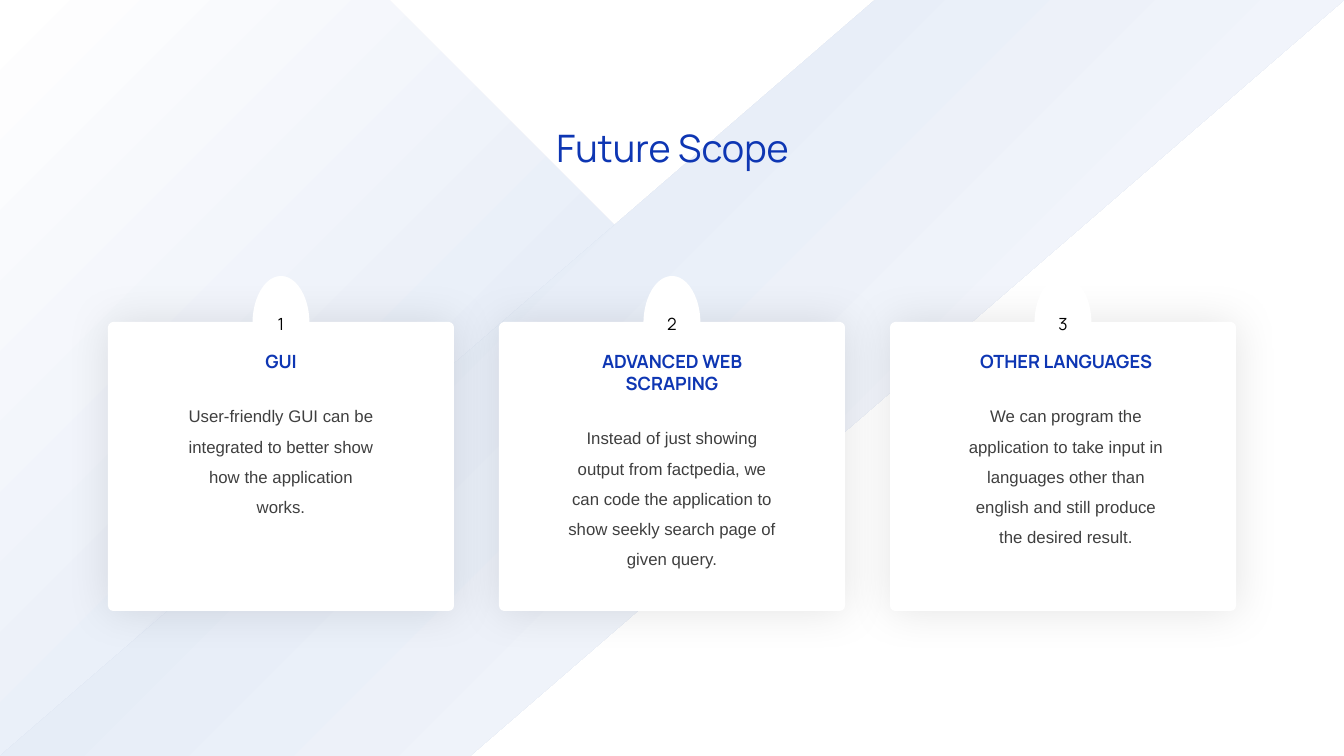
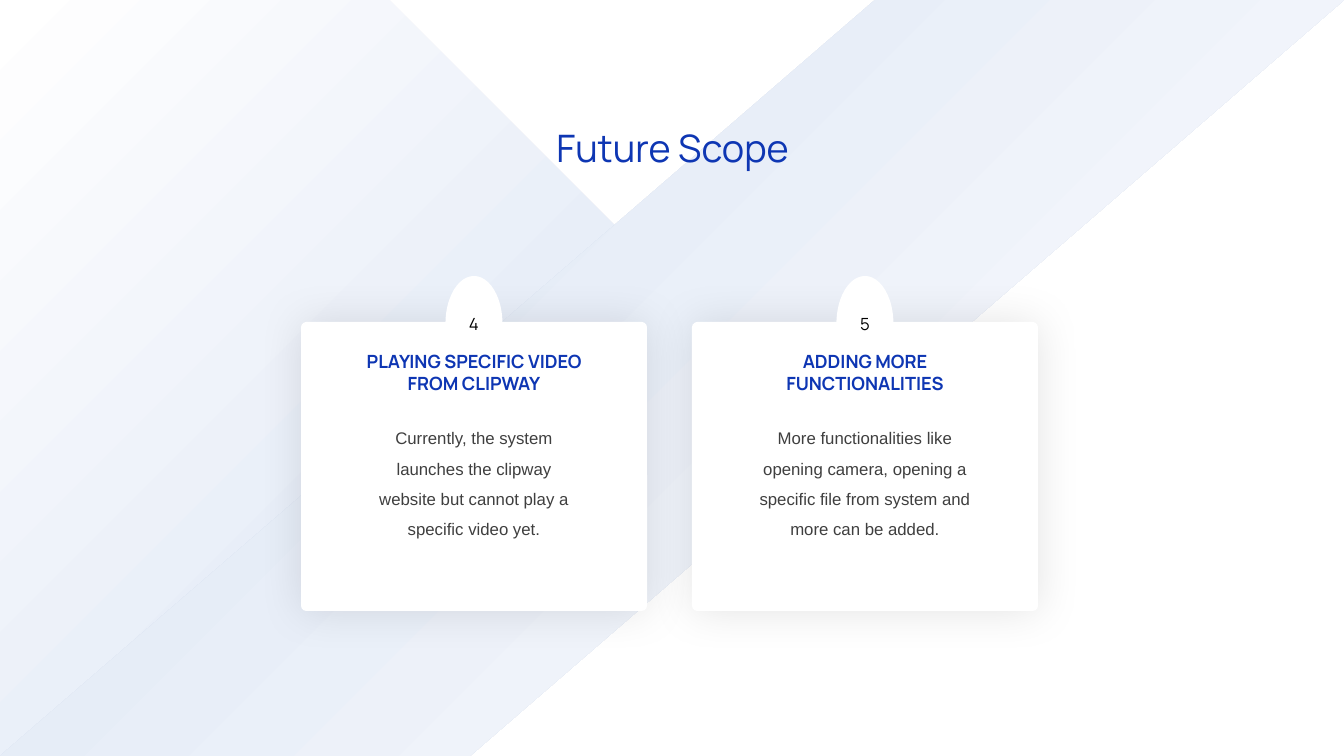
from dataclasses import dataclass

from lxml.etree import SubElement
from pptx import Presentation
from pptx.dml.color import RGBColor
from pptx.enum.shapes import MSO_SHAPE
from pptx.enum.text import MSO_ANCHOR, MSO_AUTO_SIZE, PP_ALIGN
from pptx.oxml.ns import qn
from pptx.util import Emu, Pt

SLIDE_WIDTH, SLIDE_HEIGHT = 1344, 756
EMU_PER_PX = 12192000 / SLIDE_WIDTH

COLORS = {
    "white": "FFFFFF",
    "mist": "D8E2F3",
    "blue": "0E36B3",
    "gray": "3F3F3F",
    "black": "000000",
}
HEADING_FONT, BODY_FONT = "Manrope", "Arial"

CARD_TOP, CARD_WIDTH, CARD_HEIGHT, CARD_GAP = 322, 346, 289, 45
BADGE_TOP, BADGE_WIDTH, BADGE_HEIGHT = 276, 57, 95
HEADING_TOP, HEADING_WIDTH, HEADING_LINE = 345, 245, 22
BODY_TOP, BODY_LINE = 369, 31


@dataclass(frozen=True)
class Band:
    points: tuple[tuple[int, int], ...]
    start_color: str
    end_color: str


@dataclass(frozen=True)
class Card:
    number: int
    heading: str
    body: str
    heading_lines: int = 2
    body_lines: int = 4
    body_width: int = 216
    text_shift: int = 0


@dataclass(frozen=True)
class CardSlide:
    title: str
    left: int
    cards: tuple[Card, ...]


BANDS = (
    Band(
        ((0, 0), (389, 0), (616, 227), (641, 263), (650, 310), (641, 357),
         (616, 393), (252, 756), (0, 756)),
        "white", "mist",
    ),
    Band(((875, 0), (1344, 0), (470, 756), (0, 756)), "mist", "white"),
)

CARD_SLIDES = (
    CardSlide("Future Scope", 108, (
        Card(1, "GUI",
             "User-friendly GUI can be integrated to better show how the "
             "application works.", heading_lines=1),
        Card(2, "ADVANCED WEB SCRAPING",
             "Instead of just showing output from factpedia, we can code the "
             "application to show seekly search page of given query.",
             body_lines=5, body_width=236),
        Card(3, "OTHER LANGUAGES",
             "We can program the application to take input in languages other "
             "than english and still produce the desired result.",
             heading_lines=1, body_lines=5, text_shift=3),
    )),
    CardSlide("Future Scope", 301, (
        Card(4, "PLAYING SPECIFIC VIDEO FROM CLIPWAY",
             "Currently, the system launches the clipway website but cannot "
             "play a specific video yet."),
        Card(5, "ADDING MORE FUNCTIONALITIES",
             "More functionalities like opening camera, opening a specific "
             "file from system and more can be added.", body_width=236),
    )),
)


def px(length: float) -> Emu:
    return Emu(round(length * EMU_PER_PX))


def box(left: float, top: float, width: float, height: float) -> tuple[Emu, ...]:
    return px(left), px(top), px(width), px(height)


def rgb(name: str) -> RGBColor:
    return RGBColor.from_string(COLORS[name])


def write_text(shape, text: str, *, size: int, font: str = HEADING_FONT,
               color: str = "blue", bold: bool = False, spacing: float = 1.0,
               anchor=MSO_ANCHOR.TOP, auto_size=MSO_AUTO_SIZE.NONE) -> None:
    """Fill a shape with one centred, formatted paragraph."""
    frame = shape.text_frame
    frame.word_wrap = True
    frame.auto_size = auto_size
    frame.vertical_anchor = anchor
    paragraph = frame.paragraphs[0]
    paragraph.alignment = PP_ALIGN.CENTER
    paragraph.line_spacing = spacing
    run = paragraph.add_run()
    run.text = text
    run.font.name = font
    run.font.size = Pt(size)
    run.font.bold = bold
    run.font.color.rgb = rgb(color)


def add_text(slide, center: float, top: int, width: int, height: int,
             text: str, **text_format) -> None:
    shape = slide.shapes.add_textbox(*box(center - width / 2, top, width, height))
    write_text(shape, text, auto_size=MSO_AUTO_SIZE.SHAPE_TO_FIT_TEXT, **text_format)


def add_white_shape(shapes, kind, left: float, top: int, width: int, height: int):
    shape = shapes.add_shape(kind, *box(left, top, width, height))
    shape.shadow.inherit = False
    shape.fill.solid()
    shape.fill.fore_color.rgb = rgb("white")
    shape.line.fill.background()
    return shape


def add_soft_shadow(shape) -> None:
    effects = shape.element.spPr.find(qn("a:effectLst"))
    shadow = SubElement(effects, qn("a:outerShdw"), blurRad=str(Pt(32)),
                        dist="0", dir="0", algn="ctr", rotWithShape="0")
    color = SubElement(shadow, qn("a:srgbClr"), val=COLORS["black"])
    SubElement(color, qn("a:alpha"), val="11000")


def add_bands(layout, slide) -> None:
    """Build the bands on a slide, then move them to the back of its layout."""
    for position, band in enumerate(BANDS, start=2):
        builder = slide.shapes.build_freeform(*band.points[0], scale=EMU_PER_PX)
        builder.add_line_segments(band.points[1:], close=True)
        shape = builder.convert_to_shape()
        shape.shadow.inherit = False
        shape.line.fill.background()
        shape.fill.gradient()
        shape.fill.gradient_angle = 315
        for stop, color in zip(shape.fill.gradient_stops,
                               (band.start_color, band.end_color)):
            stop.color.rgb = rgb(color)
        layout.shapes.element.insert(position, shape.element)


def add_title(slide, text: str) -> None:
    title = slide.shapes.title
    title.left, title.top, title.width, title.height = box(438, 120, 469, 56)
    write_text(title, text, size=27)


def add_card(slide, card: Card, left: int) -> None:
    center = left + CARD_WIDTH / 2
    group = slide.shapes.add_group_shape()
    panel = add_white_shape(group.shapes, MSO_SHAPE.ROUNDED_RECTANGLE,
                            left, CARD_TOP, CARD_WIDTH, CARD_HEIGHT)
    panel.adjustments[0] = 0.018
    add_soft_shadow(panel)
    badge = add_white_shape(group.shapes, MSO_SHAPE.OVAL, center - BADGE_WIDTH / 2,
                            BADGE_TOP, BADGE_WIDTH, BADGE_HEIGHT)
    write_text(badge, str(card.number), size=12, color="black",
               anchor=MSO_ANCHOR.MIDDLE)

    text_center = center + card.text_shift
    heading_height = HEADING_LINE * card.heading_lines
    add_text(slide, text_center, HEADING_TOP, HEADING_WIDTH, heading_height + 10,
             card.heading, size=13, bold=True)
    add_text(slide, text_center, BODY_TOP + heading_height, card.body_width,
             BODY_LINE * card.body_lines - 2, card.body,
             size=12, font=BODY_FONT, color="gray", spacing=1.5)


def main() -> None:
    presentation = Presentation()
    presentation.slide_width = px(SLIDE_WIDTH)
    presentation.slide_height = px(SLIDE_HEIGHT)
    layout = presentation.slide_layouts[5]
    for index, content in enumerate(CARD_SLIDES):
        slide = presentation.slides.add_slide(layout)
        if index == 0:
            add_bands(layout, slide)
        add_title(slide, content.title)
        for column, card in enumerate(content.cards):
            add_card(slide, card, content.left + column * (CARD_WIDTH + CARD_GAP))
    presentation.save("out.pptx")


if __name__ == "__main__":
    main()
